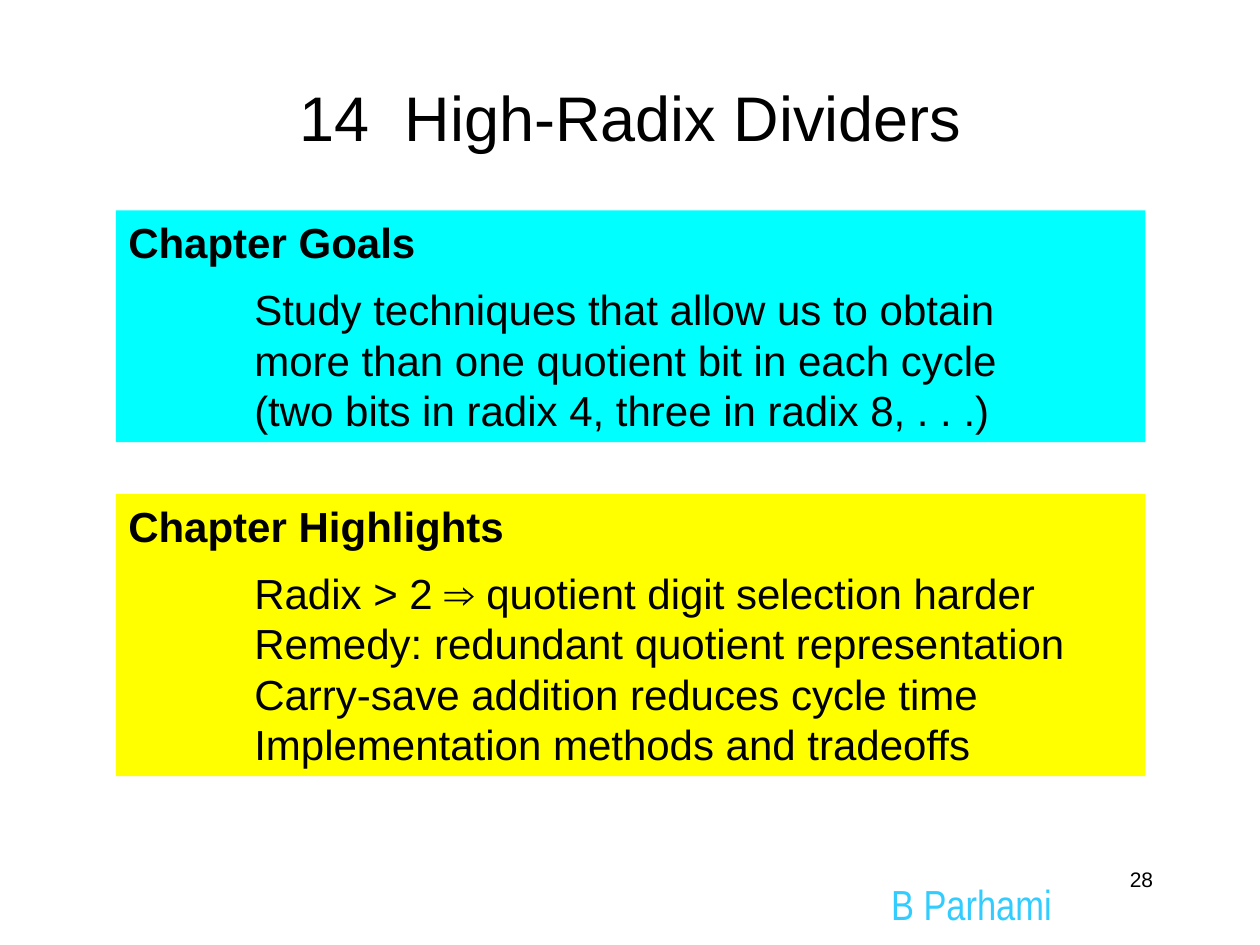
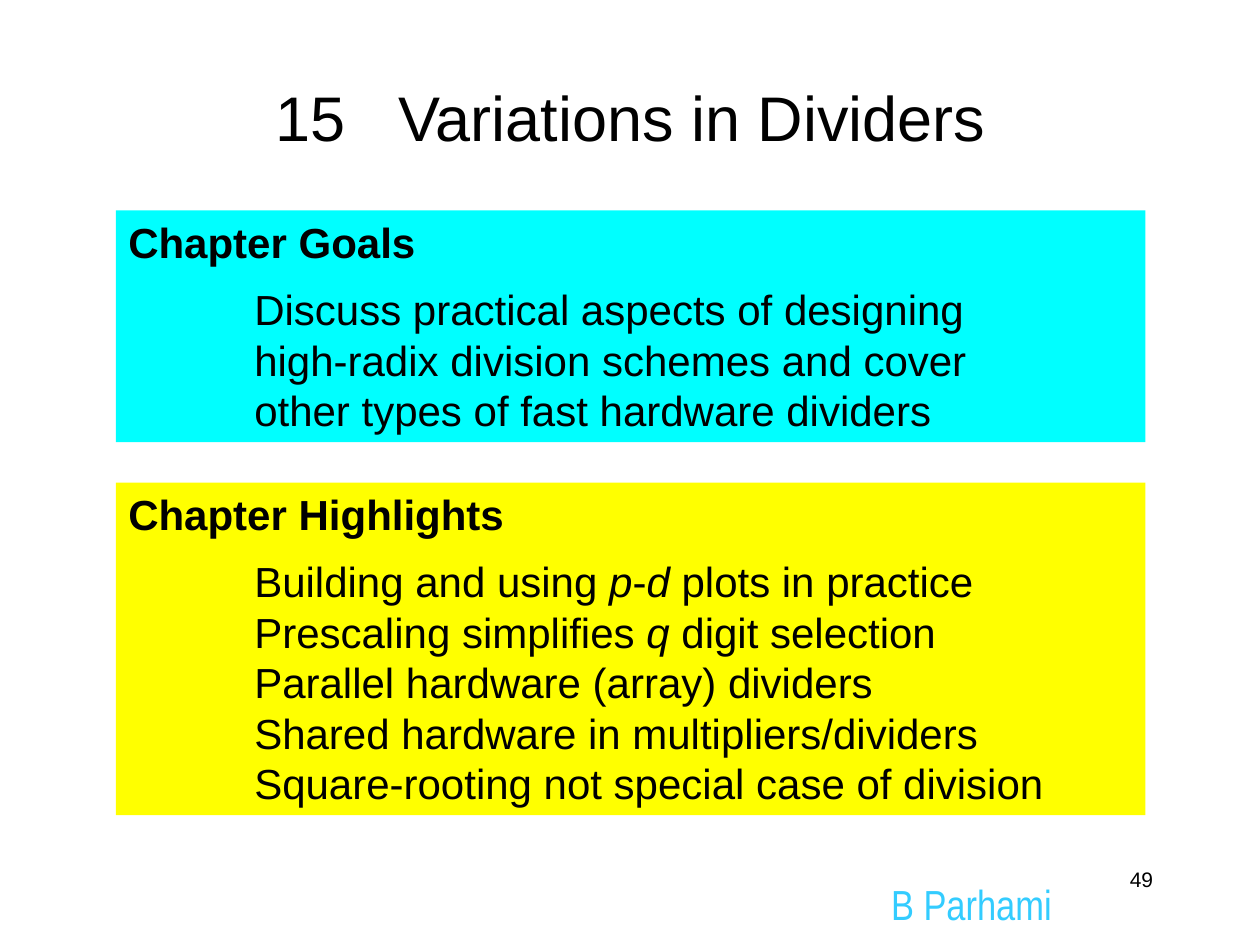
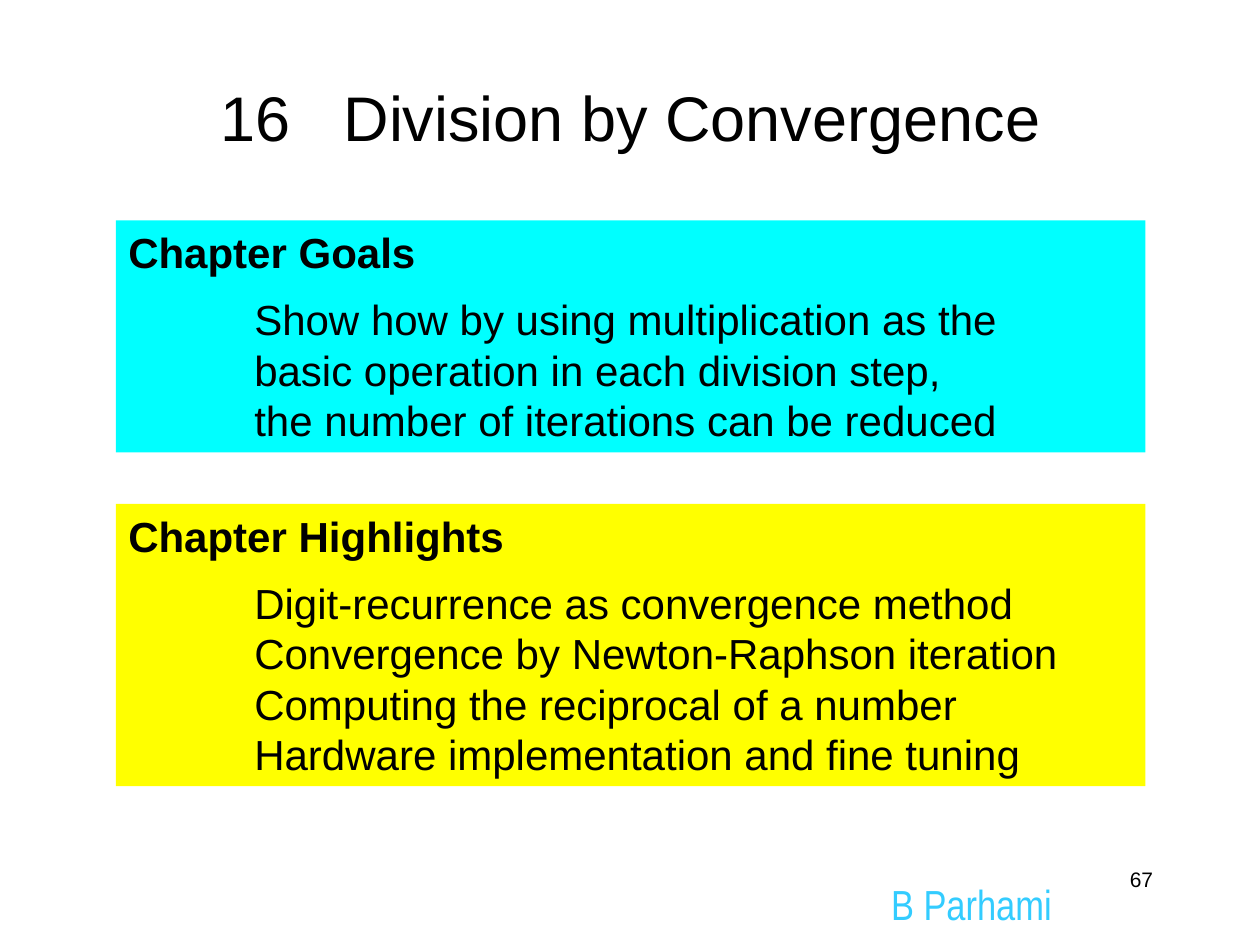
from pptx import Presentation
from pptx.dml.color import RGBColor
from pptx.enum.shapes import MSO_SHAPE
from pptx.enum.text import MSO_ANCHOR, MSO_AUTO_SIZE, PP_ALIGN
from pptx.util import Inches, Pt

# Content: asterisks enclose italic letters
CHAPTERS = [
    {
        "number": "14", "title": "High-Radix Dividers", "title_gap": 2,
        "page_number": "28", "goals_top": 1.67, "highlights_top": 3.92,
        "goals": [
            "Study techniques that allow us to obtain",
            "more than one quotient bit in each cycle",
            "(two bits in radix 4, three in radix 8, . . .)",
        ],
        "highlights": [
            "Radix > 2 ⇒ quotient digit selection harder",
            "Remedy: redundant quotient representation",
            "Carry-save addition reduces cycle time",
            "Implementation methods and tradeoffs",
        ],
    },
    {
        "number": "15", "title": "Variations in Dividers", "title_gap": 3,
        "page_number": "49", "goals_top": 1.67, "highlights_top": 3.83,
        "goals": [
            "Discuss practical aspects of designing",
            "high-radix division schemes and cover",
            "other types of fast hardware dividers",
        ],
        "highlights": [
            "Building and using *p*-*d* plots in practice",
            "Prescaling simplifies *q* digit selection",
            "Parallel hardware (array) dividers",
            "Shared hardware in multipliers/dividers",
            "Square-rooting not special case of division",
        ],
    },
    {
        "number": "16", "title": "Division by Convergence", "title_gap": 3,
        "page_number": "67", "goals_top": 1.75, "highlights_top": 4,
        "goals": [
            "Show how by using multiplication as the",
            "basic operation in each division step,",
            "the number of iterations can be reduced",
        ],
        "highlights": [
            "Digit-recurrence as convergence method",
            "Convergence by Newton-Raphson iteration",
            "Computing the reciprocal of a number",
            "Hardware implementation and fine tuning",
        ],
    },
]
AUTHOR = "B Parhami"

# Shared style
BLACK = RGBColor(0x00, 0x00, 0x00)
CYAN = RGBColor(0x00, 0xFF, 0xFF)
YELLOW = RGBColor(0xFF, 0xFF, 0x00)
SKY = RGBColor(0x33, 0xCC, 0xFF)
PANEL_LEFT, PANEL_WIDTH = 0.92, 8.17
PANEL_BASE, LINE_HEIGHT = 0.64, 0.4
SPACE_WIDTH = 10  # points, one space of the title font


def write(para, text, *, size=24, font="Arial", color=BLACK, bold=False,
          align=PP_ALIGN.LEFT, before=0, indent=0):
    """Write text into a paragraph and return its spans."""
    para.alignment = align
    if before:
        para.space_before = Pt(before)
    if indent:
        properties = para._p.get_or_add_pPr()
        properties.set("marL", str(Inches(indent)))
        properties.set("indent", "0")
    spans = []
    for index, part in enumerate(text.split("*")):
        if not part:
            continue
        span = para.add_run()
        span.text = part
        span.font.size = Pt(size)
        span.font.name = font
        span.font.color.rgb = color
        span.font.bold = bold
        span.font.italic = index % 2 == 1
        spans.append(span)
    return spans


def add_text_box(page, text, left, top, width, height, **style):
    box = page.shapes.add_textbox(Inches(left), Inches(top), Inches(width), Inches(height))
    box.text_frame.word_wrap = True
    write(box.text_frame.paragraphs[0], text, **style)
    return box


def add_author(deck, page):
    """Put the author's name on the master, so that every page shows it."""
    box = add_text_box(page, AUTHOR, 6.81, 6.92, 1.8, 0.42,
                       font="Arial Narrow", color=SKY, align=PP_ALIGN.CENTER)
    deck.slide_master.shapes.element.append(box.element)


def add_title(page, chapter):
    title = page.shapes.title
    title.left, title.top = Inches(0.42), Inches(0.42)
    title.width, title.height = Inches(9.17), Inches(1)
    frame = title.text_frame
    frame.auto_size = MSO_AUTO_SIZE.NONE
    frame.vertical_anchor = MSO_ANCHOR.MIDDLE
    style = {"size": 36, "align": PP_ALIGN.CENTER}
    para = frame.paragraphs[0]
    write(para, chapter["number"], **style)
    # Character spacing widens the gap after the chapter number
    gap = write(para, " ", **style)[0]
    extra = (chapter["title_gap"] - 1) * SPACE_WIDTH
    gap.font._element.set("spc", str(extra * 100))
    write(para, chapter["title"], **style)


def add_panel(page, heading, lines, top, color):
    height = PANEL_BASE + LINE_HEIGHT * len(lines)
    panel = page.shapes.add_shape(
        MSO_SHAPE.RECTANGLE, Inches(PANEL_LEFT), Inches(top),
        Inches(PANEL_WIDTH), Inches(height))
    panel.shadow.inherit = False
    panel.fill.solid()
    panel.fill.fore_color.rgb = color
    panel.line.fill.background()
    frame = panel.text_frame
    frame.word_wrap = True
    frame.vertical_anchor = MSO_ANCHOR.TOP
    write(frame.paragraphs[0], heading, bold=True)
    for index, line in enumerate(lines):
        write(frame.add_paragraph(), line, indent=1, before=0 if index else 9.6)


def main():
    deck = Presentation()
    deck.slide_width, deck.slide_height = Inches(10), Inches(7.5)
    for chapter in CHAPTERS:
        page = deck.slides.add_slide(deck.slide_layouts[5])
        add_title(page, chapter)
        add_panel(page, "Chapter Goals", chapter["goals"], chapter["goals_top"], CYAN)
        add_panel(page, "Chapter Highlights", chapter["highlights"],
                  chapter["highlights_top"], YELLOW)
        add_text_box(page, chapter["page_number"], 7.17, 6.83, 2.08, 0.5,
                     size=12, align=PP_ALIGN.RIGHT)
    add_author(deck, deck.slides[0])
    deck.save("out.pptx")


if __name__ == "__main__":
    main()
